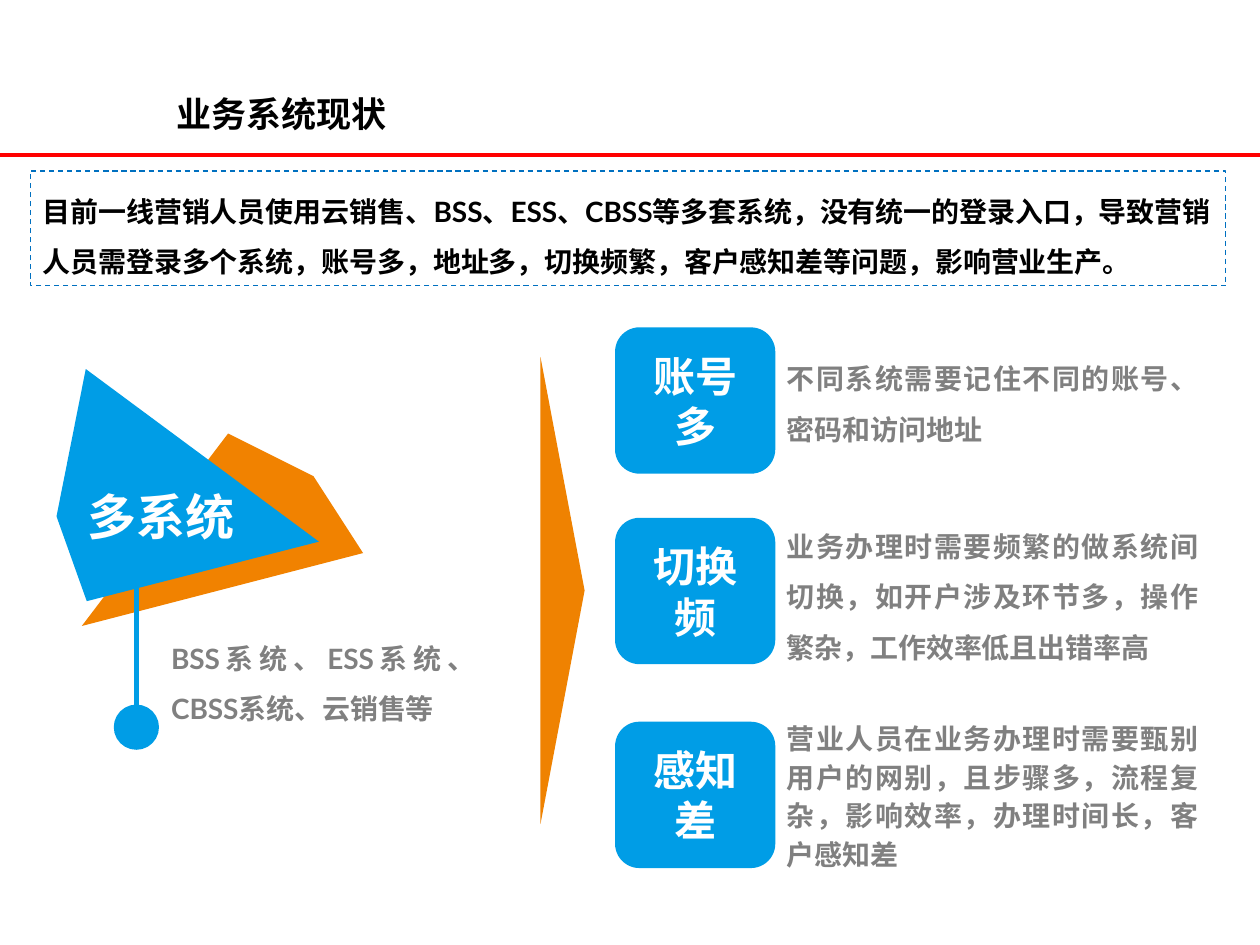
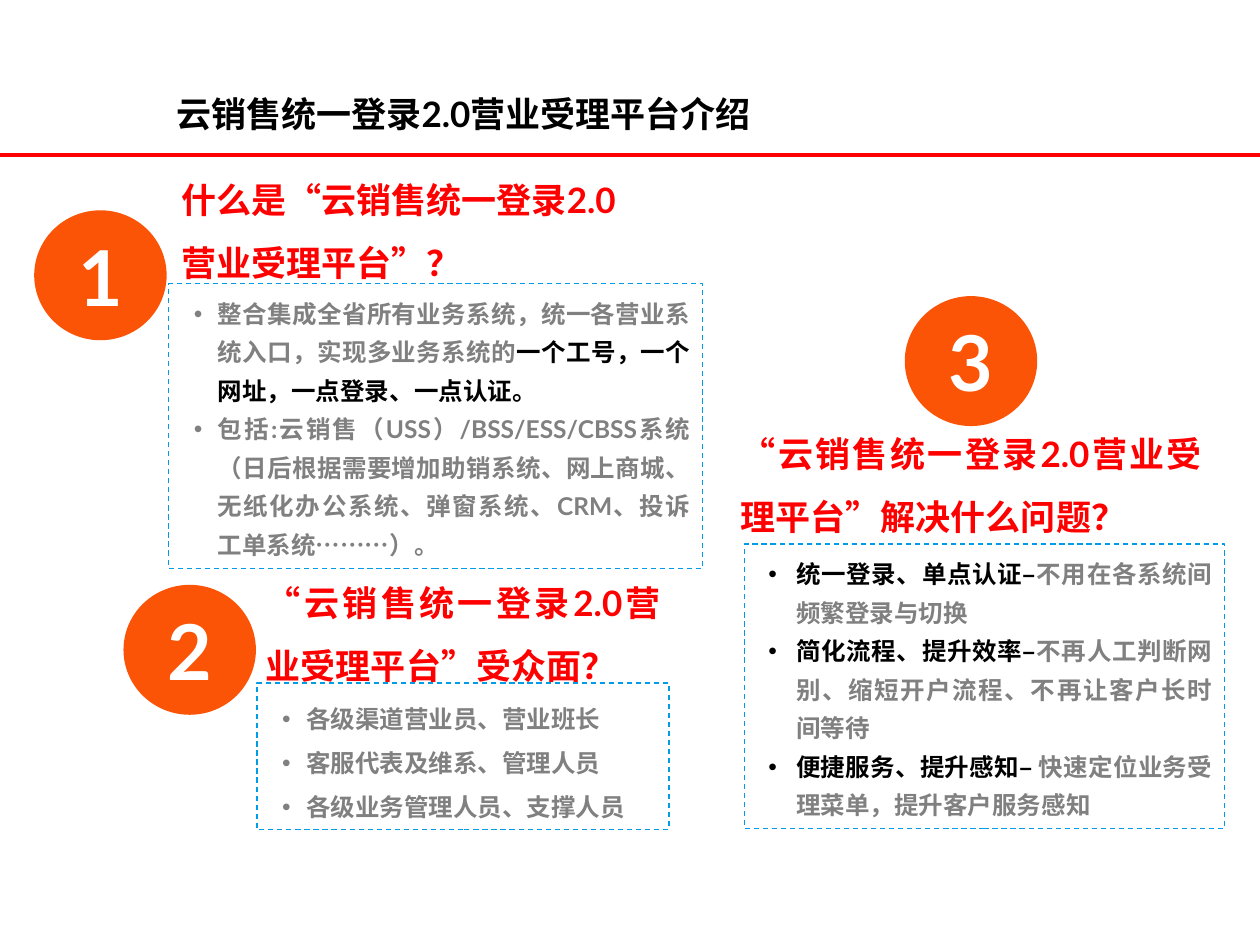
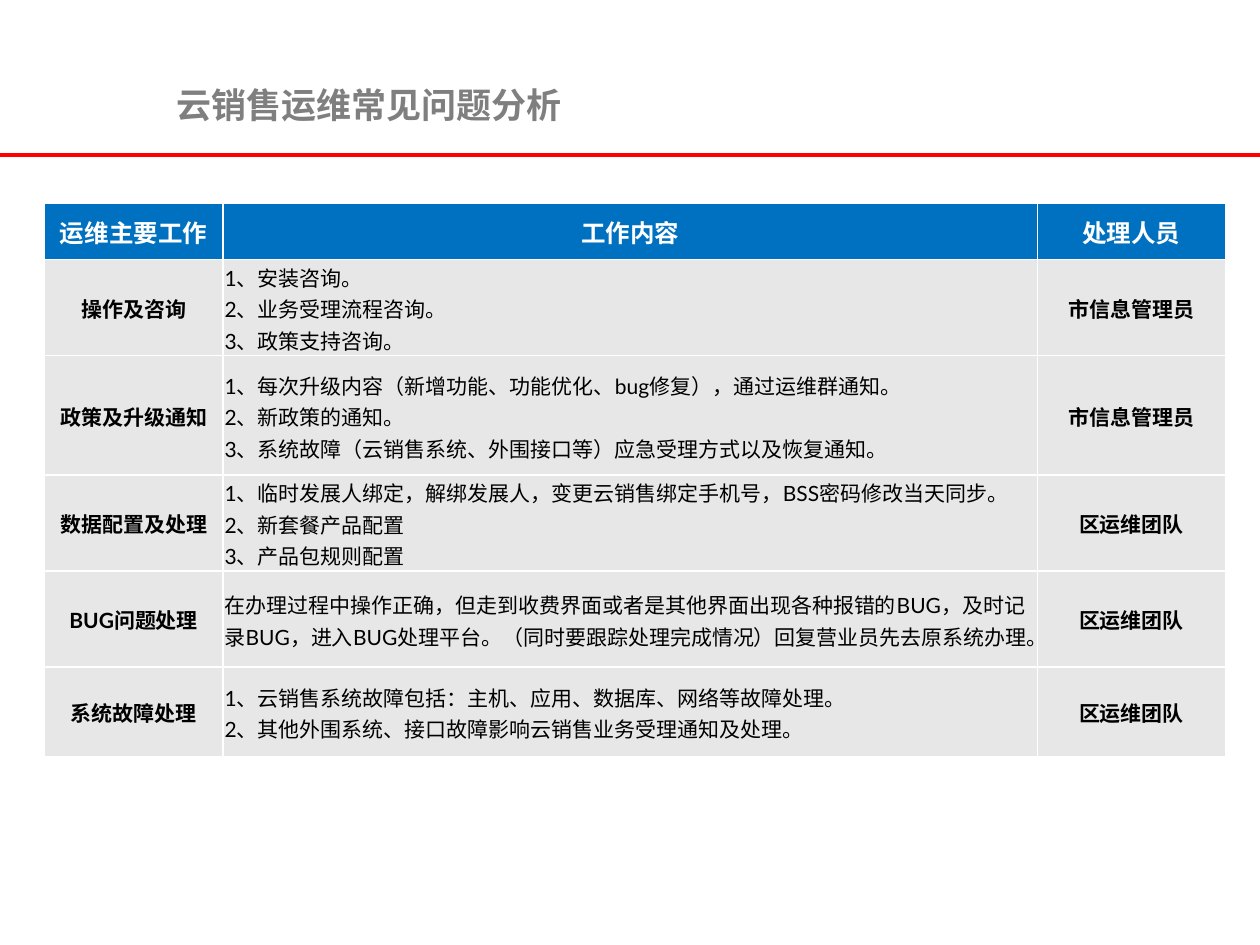
from dataclasses import dataclass

from lxml.etree import SubElement
from pptx import Presentation
from pptx.dml.color import RGBColor
from pptx.enum.dml import MSO_LINE
from pptx.enum.shapes import MSO_CONNECTOR, MSO_SHAPE
from pptx.enum.text import MSO_ANCHOR, MSO_AUTO_SIZE, PP_ALIGN
from pptx.oxml.ns import qn
from pptx.util import Cm, Pt


@dataclass(frozen=True)
class Theme:
    latin: str = "Lato"
    east_asian: str = "Noto Sans CJK SC"
    black: str = "000000"
    white: str = "FFFFFF"
    grey: str = "808080"
    title_grey: str = "7F7F7F"
    red: str = "FF0000"
    sky: str = "009DE6"
    blue: str = "0070C0"
    orange: str = "F18200"
    arrow: str = "EF8201"
    badge: str = "FB5406"
    cell: str = "E7E7E7"
    number_size: int = 44
    label_size: int = 28
    card_size: int = 24
    title_size: int = 20
    body_size: int = 16
    list_size: int = 14
    table_size: int = 12


class Deck:
    def __init__(self, theme):
        self.theme = theme
        self.presentation = Presentation()
        self.presentation.slide_width = Cm(25.4)
        self.presentation.slide_height = Cm(19.05)
        self.slide = None

    def new_slide(self, title, color=None, spacing=1.5, anchor=MSO_ANCHOR.TOP):
        self.slide = self.presentation.slides.add_slide(self.presentation.slide_layouts[6])
        self.line((0, 3.12), (25.4, 3.12), self.theme.red, 2)
        self.text((3.3, 1.32, 17.6, 1.57), [title], self.theme.title_size,
                  color or self.theme.black, spacing=spacing, anchor=anchor)

    def fill_text(self, frame, paragraphs, size, color, bold=True, align=PP_ALIGN.JUSTIFY,
                  spacing=None, indent=None):
        """Fill a frame; a paragraph is a string or a list of (text, colour) runs."""
        for index, content in enumerate(paragraphs):
            paragraph = frame.paragraphs[0] if index == 0 else frame.add_paragraph()
            paragraph.alignment = align
            paragraph.line_spacing = spacing
            if indent:
                self.bullet(paragraph, *indent)
            spans = [(content, color)] if isinstance(content, str) else content
            for text, run_color in spans:
                run = paragraph.add_run()
                run.text = text
                run.font.size = Pt(size)
                run.font.bold = bold
                run.font.color.rgb = RGBColor.from_string(run_color)
                run.font.name = self.theme.latin
                SubElement(run.font._element, qn("a:ea"), typeface=self.theme.east_asian)

    def bullet(self, paragraph, margin, hanging):
        properties = paragraph._p.get_or_add_pPr()
        properties.set("marL", str(Cm(margin)))
        properties.set("indent", str(-Cm(hanging)))
        SubElement(properties, qn("a:buFont"), typeface="Arial")
        SubElement(properties, qn("a:buChar"), char="•")

    def text(self, box, paragraphs, size, color, anchor=MSO_ANCHOR.TOP, **style):
        frame = self.slide.shapes.add_textbox(*map(Cm, box)).text_frame
        frame.word_wrap = True
        frame.vertical_anchor = anchor
        self.fill_text(frame, paragraphs, size, color, **style)

    def paint(self, shape, fill):
        shape.shadow.inherit = False
        shape.fill.solid()
        shape.fill.fore_color.rgb = RGBColor.from_string(fill)
        shape.line.fill.background()

    def shape(self, kind, box, fill, label=None, size=None):
        shape = self.slide.shapes.add_shape(kind, *map(Cm, box))
        self.paint(shape, fill)
        if label:
            shape.text_frame.vertical_anchor = MSO_ANCHOR.MIDDLE
            self.fill_text(shape.text_frame, [label], size, self.theme.white,
                           align=PP_ALIGN.CENTER)
        return shape

    def polygon(self, points, fill):
        corners = [(Cm(x), Cm(y)) for x, y in points]
        builder = self.slide.shapes.build_freeform(*corners[0], scale=1.0)
        builder.add_line_segments(corners[1:], close=True)
        self.paint(builder.convert_to_shape(), fill)

    def line(self, start, end, color, width):
        connector = self.slide.shapes.add_connector(
            MSO_CONNECTOR.STRAIGHT, *map(Cm, start + end))
        connector.line.color.rgb = RGBColor.from_string(color)
        connector.line.width = Pt(width)
        SubElement(connector._element.spPr, qn("a:effectLst"))

    def dashed_box(self, box, paragraphs, size, color, border, **style):
        shape = self.slide.shapes.add_shape(MSO_SHAPE.RECTANGLE, *map(Cm, box))
        shape.shadow.inherit = False
        shape.fill.background()
        shape.line.color.rgb = RGBColor.from_string(border)
        shape.line.width = Pt(0.75)
        shape.line.dash_style = MSO_LINE.DASH
        frame = shape.text_frame
        frame.vertical_anchor = MSO_ANCHOR.TOP
        frame.auto_size = MSO_AUTO_SIZE.SHAPE_TO_FIT_TEXT
        self.fill_text(frame, paragraphs, size, color, **style)

    def cell(self, cell, paragraphs, size, color, fill, **style):
        cell.margin_left = cell.margin_right = cell.margin_top = Cm(0.03)
        cell.margin_bottom = 0
        cell.vertical_anchor = MSO_ANCHOR.MIDDLE
        self.fill_text(cell.text_frame, paragraphs, size, color, **style)
        properties = cell._tc.get_or_add_tcPr()
        for side in ("a:lnL", "a:lnR", "a:lnT", "a:lnB"):
            border = SubElement(properties, qn(side), w=str(Pt(1)))
            solid = SubElement(border, qn("a:solidFill"))
            SubElement(solid, qn("a:srgbClr"), val=self.theme.white)
        cell.fill.solid()
        cell.fill.fore_color.rgb = RGBColor.from_string(fill)

    def table(self, left, top, widths, heights, header, rows):
        """Draw a table whose middle column holds lists and whose others hold labels."""
        theme = self.theme
        table = self.slide.shapes.add_table(
            len(heights), len(widths), Cm(left), Cm(top),
            Cm(sum(widths)), Cm(sum(heights))).table
        for column, width in zip(table.columns, widths):
            column.width = Cm(width)
        for row, height in zip(table.rows, heights):
            row.height = Cm(height)
        for index, label in enumerate(header):
            self.cell(table.cell(0, index), [label], theme.list_size, theme.white,
                      theme.blue, align=PP_ALIGN.CENTER)
        for index, (work, details, staff) in enumerate(rows, start=1):
            for column, label in ((0, work), (2, staff)):
                self.cell(table.cell(index, column), [label], theme.table_size,
                          theme.black, theme.cell, align=PP_ALIGN.CENTER)
            self.cell(table.cell(index, 1), details, theme.table_size, theme.black,
                      theme.cell, bold=False, align=PP_ALIGN.LEFT, spacing=Pt(18))


def build_status(deck):
    theme = deck.theme
    deck.new_slide("业务系统现状")
    deck.polygon([(4.6, 8.74), (6.32, 9.6), (7.32, 11.15), (1.65, 12.62)], theme.orange)
    deck.polygon([(1.73, 7.44), (6.43, 10.92), (1.75, 12.12), (1.14, 10.41)], theme.sky)
    deck.text((1.52, 9.68, 4.24, 1.45), ["多系统"], theme.label_size, theme.white,
              align=PP_ALIGN.LEFT)
    knob = deck.shape(MSO_SHAPE.OVAL, (2.33, 14.24, 0.84, 0.84), theme.sky)
    knob.line.color.rgb = RGBColor.from_string(theme.sky)
    knob.line.width = Pt(2)
    deck.line((2.75, 14.86), (2.75, 11.13), theme.sky, 3)
    deck.text((3.2, 12.47, 6.63, 2.31), ["BSS系统、ESS系统、CBSS系统、云销售等"],
              theme.body_size, theme.grey, spacing=1.5)

    problems = [
        ("账号多", 6.6, 6.83, 2.18, 1.5, "不同系统需要记住不同的账号、密码和访问地址"),
        ("切换频", 10.44, 10.21, 3.33, 1.5,
         "业务办理时需要频繁的做系统间切换，如开户涉及环节多，操作繁杂，工作效率低且出错率高"),
        ("感知差", 14.55, 14.33, 3.4, Pt(22),
         "营业人员在业务办理时需要甄别用户的网别，且步骤多，流程复杂，影响效率，办理时间长，客户感知差"),
    ]
    for label, card_top, text_top, text_height, spacing, description in problems:
        deck.shape(MSO_SHAPE.ROUNDED_RECTANGLE, (12.4, card_top, 3.23, 2.95), theme.sky,
                   label, theme.card_size)
        deck.text((15.61, text_top, 8.81, text_height), [description], theme.body_size,
                  theme.grey, spacing=spacing)

    arrow = deck.shape(MSO_SHAPE.ISOSCELES_TRIANGLE, (6.63, 11.46, 9.42, 0.89), theme.arrow)
    arrow.rotation = 90
    deck.dashed_box(
        (0.61, 3.45, 24.1, 2.31),
        ["目前一线营销人员使用云销售、BSS、ESS、CBSS等多套系统，没有统一的登录入口，"
         "导致营销人员需登录多个系统，账号多，地址多，切换频繁，客户感知差等问题，影响营业生产。"],
        theme.body_size, theme.black, theme.blue, align=PP_ALIGN.LEFT, spacing=1.5)


def build_introduction(deck):
    theme = deck.theme
    black, grey = theme.black, theme.grey
    deck.new_slide("云销售统一登录2.0营业受理平台介绍")
    questions = [
        ((0.69, 4.24), (3.4, 3.12, 10.77, 2.67), MSO_ANCHOR.MIDDLE,
         ["什么是“云销售统一登录2.0", "营业受理平台”？"]),
        ((2.49, 11.79), (5.11, 11.18, 8.46, 2.82), MSO_ANCHOR.TOP,
         ["“云销售统一登录2.0营业受理平台”受众面？"]),
        ((18.24, 5.97), (14.68, 8.18, 9.8, 2.79), MSO_ANCHOR.TOP,
         ["“云销售统一登录2.0营业受理平台”解决什么问题？"]),
    ]
    for number, (corner, box, anchor, question) in enumerate(questions, start=1):
        deck.shape(MSO_SHAPE.OVAL, (*corner, 2.67, 2.62), theme.badge, str(number),
                   theme.number_size)
        deck.text(box, question, theme.title_size, theme.red, anchor=anchor, spacing=1.5)

    answers = [
        ((3.4, 5.72, 10.77, 5.74), Pt(22), (0.74, 0.48), [
            [("整合集成全省所有业务系统，统一各营业系统入口，实现多业务系统的", grey),
             ("一个工号，一个网址，一点登录、一点认证。", black)],
            "包括:云销售（USS）/BSS/ESS/CBSS系统（日后根据需要增加助销系统、网上商城、"
            "无纸化办公系统、弹窗系统、CRM、投诉工单系统………）。"]),
        ((5.18, 13.77, 8.31, 2.95), 1.5, (0.74, 0.48), [
            "各级渠道营业员、营业班长",
            "客服代表及维系、管理人员",
            "各级业务管理人员、支撑人员"]),
        ((15.01, 10.97, 9.68, 5.74), Pt(22), (0.79, 0.56), [
            [("统一登录、单点认证–", black), ("不用在各系统间频繁登录与切换", grey)],
            [("简化流程、提升效率–", black),
             ("不再人工判断网别、缩短开户流程、不再让客户长时间等待", grey)],
            [("便捷服务、提升感知– ", black), ("快速定位业务受理菜单，提升客户服务感知", grey)]]),
    ]
    for box, spacing, indent, points in answers:
        deck.dashed_box(box, points, theme.list_size, grey, theme.sky,
                        spacing=spacing, indent=indent)


def build_operations(deck):
    deck.new_slide("云销售运维常见问题分析", deck.theme.title_grey, None, MSO_ANCHOR.MIDDLE)
    city, district = "市信息管理员", "区运维团队"
    deck.table(
        0.89, 4.09, [3.61, 16.41, 3.8], [1.14, 1.93, 2.41, 1.93, 1.8, 1.8],
        ["运维主要工作", "工作内容", "处理人员"],
        [
            ("操作及咨询",
             ["1、安装咨询。", "2、业务受理流程咨询。", "3、政策支持咨询。"], city),
            ("政策及升级通知",
             ["1、每次升级内容（新增功能、功能优化、bug修复），通过运维群通知。",
              "2、新政策的通知。",
              "3、系统故障（云销售系统、外围接口等）应急受理方式以及恢复通知。"], city),
            ("数据配置及处理",
             ["1、临时发展人绑定，解绑发展人，变更云销售绑定手机号，BSS密码修改当天同步。",
              "2、新套餐产品配置",
              "3、产品包规则配置"], district),
            ("BUG问题处理",
             ["在办理过程中操作正确，但走到收费界面或者是其他界面出现各种报错的BUG，"
              "及时记录BUG，进入BUG处理平台。（同时要跟踪处理完成情况）"
              "回复营业员先去原系统办理。"], district),
            ("系统故障处理",
             ["1、云销售系统故障包括：主机、应用、数据库、网络等故障处理。",
              "2、其他外围系统、接口故障影响云销售业务受理通知及处理。"], district),
        ])


def main():
    deck = Deck(Theme())
    build_status(deck)
    build_introduction(deck)
    build_operations(deck)
    deck.presentation.save("out.pptx")


if __name__ == "__main__":
    main()
